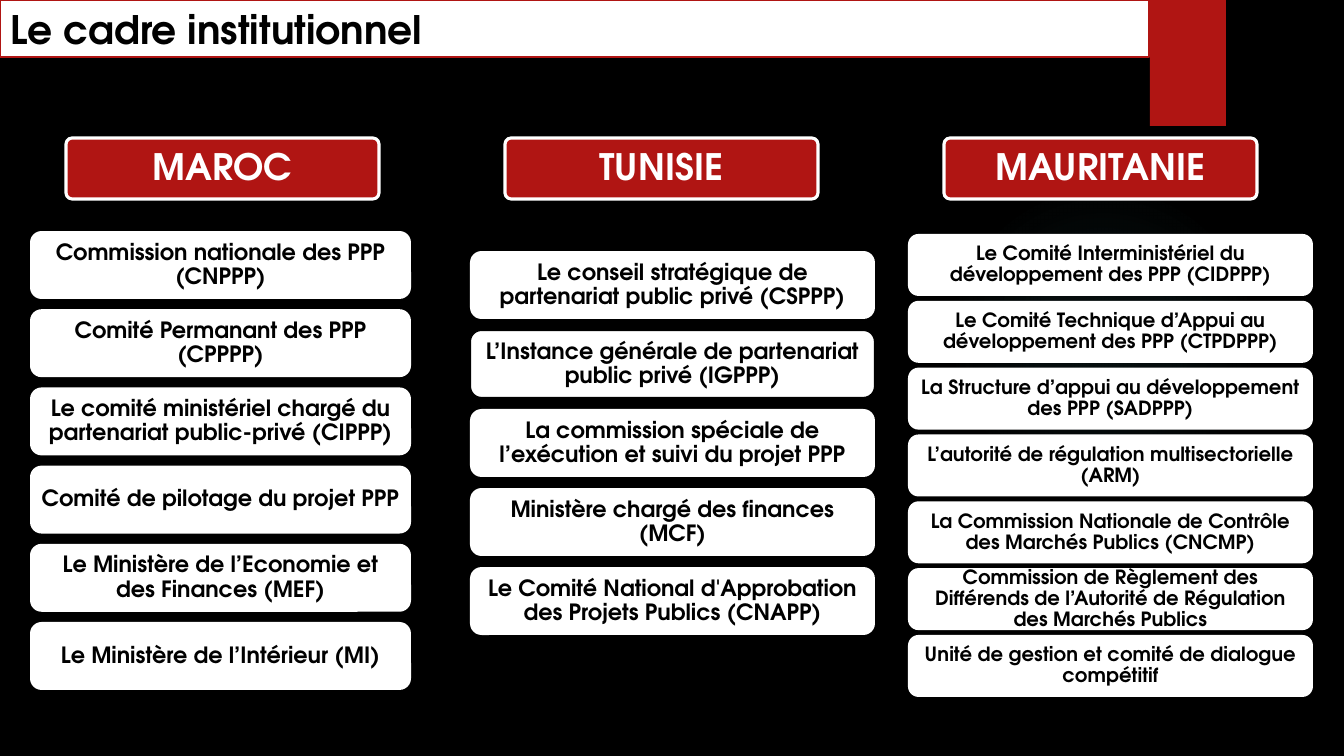
from dataclasses import dataclass

from lxml import etree
from pptx import Presentation
from pptx.dml.color import RGBColor
from pptx.enum.shapes import MSO_SHAPE
from pptx.enum.text import MSO_ANCHOR, MSO_AUTO_SIZE, PP_ALIGN
from pptx.oxml import parse_xml
from pptx.oxml.ns import nsdecls, qn
from pptx.util import Pt

RECTANGLE = MSO_SHAPE.RECTANGLE
ROUNDED = MSO_SHAPE.ROUNDED_RECTANGLE
OVAL = MSO_SHAPE.OVAL
TOP, MIDDLE = MSO_ANCHOR.TOP, MSO_ANCHOR.MIDDLE
LEFT, CENTER = PP_ALIGN.LEFT, PP_ALIGN.CENTER
NO_AUTOFIT = MSO_AUTO_SIZE.NONE

# Content
TITLE = "Le cadre institutionnel"
COUNTRIES = [
    {"name": "MAROC", "left": 30, "width": 381, "height": 68,
     "first_top": 231, "last_top": 622, "size": 16, "inset": 8, "outlined": None,
     "bodies": [
         "Commission nationale des PPP (CNPPP)",
         "Comité Permanant des PPP (CPPPP)",
         "Le comité ministériel chargé du partenariat public-privé (CIPPP)",
         "Comité de pilotage du projet PPP",
         "Le Ministère de l’Economie et des Finances (MEF)",
         "Le Ministère de l’Intérieur (MI)",
     ]},
    {"name": "TUNISIE", "left": 470, "width": 405, "height": 68,
     "first_top": 251, "last_top": 567, "size": 16, "inset": 9, "outlined": 1,
     "bodies": [
         "Le conseil stratégique de partenariat public privé (CSPPP)",
         "L’Instance générale de partenariat public privé (IGPPP)",
         "La commission spéciale de l’exécution et suivi du projet PPP",
         "Ministère chargé des finances (MCF)",
         "Le Comité National d'Approbation des Projets Publics (CNAPP)",
     ]},
    {"name": "MAURITANIE", "left": 908, "width": 405, "height": 62,
     "first_top": 234, "last_top": 635, "size": 14, "inset": 8, "outlined": None,
     "bodies": [
         "Le Comité Interministériel du développement des PPP (CIDPPP)",
         "Le Comité Technique d’Appui au développement des PPP (CTPDPPP)",
         "La Structure d’appui au développement des PPP (SADPPP)",
         "L’autorité de régulation multisectorielle (ARM)",
         "La Commission Nationale de Contrôle des Marchés Publics (CNCMP)",
         "Commission de Règlement des Différends de l’Autorité de Régulation "
         "des Marchés Publics",
         "Unité de gestion et comité de dialogue compétitif",
     ]},
]


@dataclass(frozen=True)
class Theme:
    black: RGBColor = RGBColor(0x00, 0x00, 0x00)
    white: RGBColor = RGBColor(0xFF, 0xFF, 0xFF)
    red: RGBColor = RGBColor(0xB0, 0x15, 0x13)
    glow: str = "50B9C1"
    font: str = "TeX Gyre Adventor"
    title_size: int = 28
    country_size: int = 26


THEME = Theme()

# Lengths in px
EMU_PER_PX = 914400 / 100.8
SLIDE_SIZE = (1344, 756)
TITLE_BOX = (0, 0, 1149, 57)
RED_TAB = (1150, 0, 76, 126)
GLOW_BOX = (948, 184, 310, 310)
HEADER_LEFT, HEADER_TOP, HEADER_WIDTH, HEADER_HEIGHT = 66, 138, 313, 61
HEADER_STEP, HEADER_INSET = 439, 13
GLOW_STOPS = [(0, 7), (36, 6), (69, 0)]  # position %, opacity %


def px(length):
    return round(length * EMU_PER_PX)


def paint(shape, fill, line=None, line_width=0):
    shape.fill.solid()
    shape.fill.fore_color.rgb = fill
    if line is None:
        shape.line.fill.background()
    else:
        shape.line.color.rgb = line
        shape.line.width = Pt(line_width)


def write(shape, text, size, color, alignment=CENTER, anchor=MIDDLE):
    frame = shape.text_frame
    frame.word_wrap = True
    frame.auto_size = NO_AUTOFIT
    frame.vertical_anchor = anchor
    paragraph = frame.paragraphs[0]
    paragraph.alignment = alignment
    run = paragraph.add_run()
    run.text = text
    run.font.name = THEME.font
    run.font.size = Pt(size)
    run.font.bold = True
    run.font.color.rgb = color


def add_plain(slide, kind, box):
    shape = slide.shapes.add_shape(kind, *map(px, box))
    shape.shadow.inherit = False
    return shape


def add_card(slide, box, text, size, color, inset, corner):
    card = add_plain(slide, ROUNDED, box)
    card.adjustments[0] = corner
    write(card, text, size, color)
    frame = card.text_frame
    frame.margin_left = frame.margin_right = px(inset)
    frame.margin_top = frame.margin_bottom = px(inset)
    frame.paragraphs[0].line_spacing = 0.9
    return card


def add_glow(slide):
    glow = add_plain(slide, OVAL, GLOW_BOX)
    glow.line.fill.background()
    gradient = parse_xml(
        f'<a:gradFill {nsdecls("a")}><a:gsLst/><a:path path="circle">'
        '<a:fillToRect l="50000" t="50000" r="50000" b="50000"/></a:path></a:gradFill>')
    for position, opacity in GLOW_STOPS:
        stop = etree.SubElement(gradient[0], qn("a:gs"), pos=str(position * 1000))
        color = etree.SubElement(stop, qn("a:srgbClr"), val=THEME.glow)
        etree.SubElement(color, qn("a:alpha"), val=str(opacity * 1000))
    glow.element.spPr.find(qn("a:prstGeom")).addnext(gradient)


def add_title(slide):
    title = slide.shapes.title
    title.left, title.top, title.width, title.height = map(px, TITLE_BOX)
    paint(title, THEME.white, THEME.red, 1.5)
    write(title, TITLE, THEME.title_size, THEME.black, LEFT, TOP)


def add_bodies(slide, country):
    bodies = country["bodies"]
    step = (country["last_top"] - country["first_top"]) / (len(bodies) - 1)
    for index, body in enumerate(bodies):
        box = (country["left"], country["first_top"] + index * step,
               country["width"], country["height"])
        card = add_card(slide, box, body, country["size"], THEME.black,
                        country["inset"], 0.17)
        outline = THEME.black if index == country["outlined"] else None
        paint(card, THEME.white, outline, 1.5)


def add_header(slide, column, name):
    box = (HEADER_LEFT + column * HEADER_STEP, HEADER_TOP, HEADER_WIDTH, HEADER_HEIGHT)
    card = add_card(slide, box, name, THEME.country_size, THEME.white, HEADER_INSET, 0.1)
    paint(card, THEME.red, THEME.white, 2.25)


def main():
    presentation = Presentation()
    presentation.slide_width, presentation.slide_height = map(px, SLIDE_SIZE)
    slide = presentation.slides.add_slide(presentation.slide_layouts.get_by_name("Title Only"))

    # Background, glow and red tab
    slide.background.fill.solid()
    slide.background.fill.fore_color.rgb = THEME.black
    add_glow(slide)
    paint(add_plain(slide, RECTANGLE, RED_TAB), THEME.red)

    # Title and one column per country
    add_title(slide)
    for column, country in enumerate(COUNTRIES):
        add_bodies(slide, country)
        add_header(slide, column, country["name"])

    presentation.save("out.pptx")


if __name__ == "__main__":
    main()
